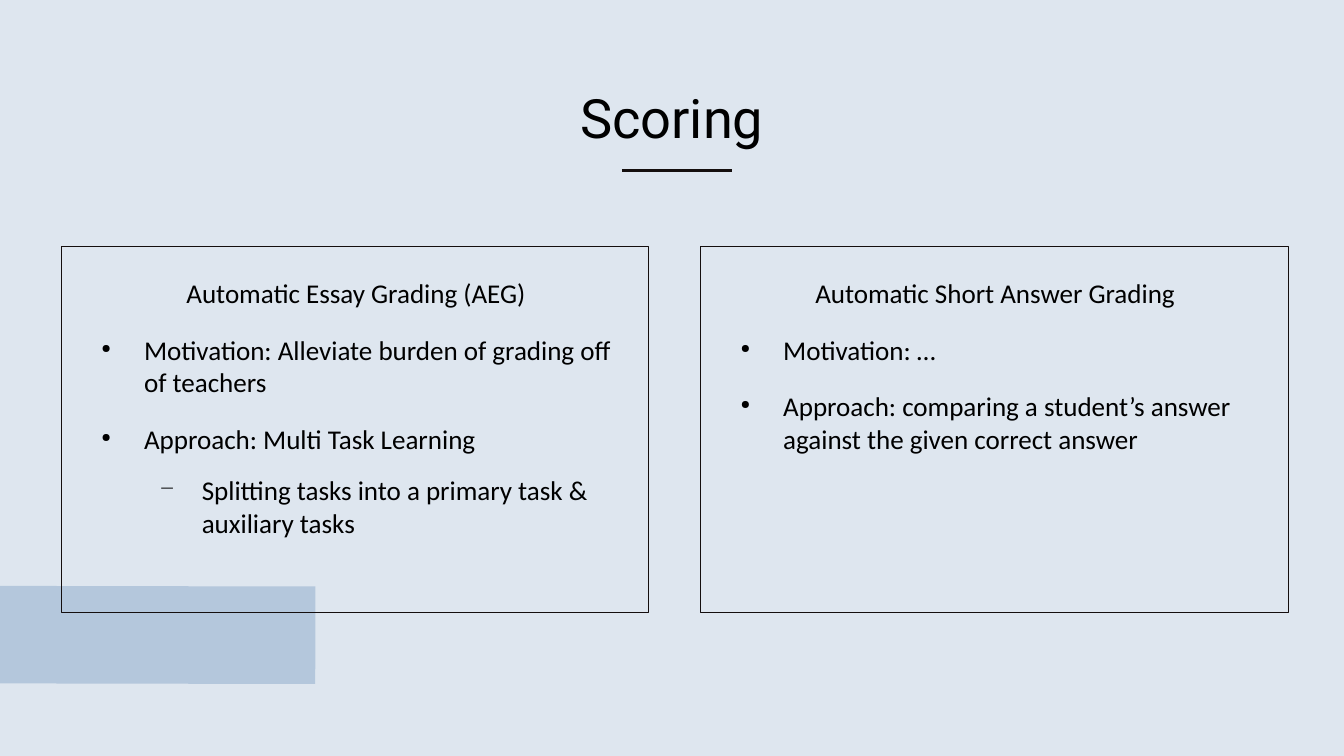
from lxml.etree import SubElement
from pptx import Presentation
from pptx.dml.color import RGBColor
from pptx.enum.shapes import MSO_CONNECTOR, MSO_SHAPE
from pptx.enum.text import MSO_ANCHOR, PP_ALIGN
from pptx.oxml.ns import qn
from pptx.util import Pt

TITLE = "Scoring"
# Each panel: heading, then (level, text) points
PANELS = [
    ("Automatic Essay Grading (AEG)", [
        (0, "Motivation: Alleviate burden of grading off of teachers"),
        (0, "Approach: Multi Task Learning"),
        (1, "Splitting tasks into a primary task & auxiliary tasks"),
    ]),
    ("Automatic Short Answer Grading", [
        (0, "Motivation: …"),
        (0, "Approach: comparing a student’s answer against the given correct answer"),
    ]),
]

THEME = {
    "background": RGBColor.from_string("DEE6EF"),
    "band": RGBColor.from_string("B4C7DC"),
    "outline": RGBColor.from_string("140E0E"),
    "ink": "000000",
    "title": {"name": "Roboto", "size": Pt(32)},
    "body": {"name": "Calibri", "size": Pt(16)},
}
# Per level: bullet sign, bullet size in percent, space before, left indent
LEVELS = [("●", 45, 14.1, 34), ("−", 75, 11.3, 68)]
HANGING = 25.2

SLIDE = (793.44, 446.4)
TITLE_BOX = (39.6, 31.7, 714.2, 74.9)
RULE = (367.2, 432, 100.8)  # left, right, y
BAND = (-29.5, 187.9, 57.6, 373.7)
PANEL_LEFT, PANEL_TOP, PANEL_WIDTH, PANEL_HEIGHT = 36, 145.4, 347, 216
PANEL_STEP = 377.3
TEXT_INSET = (15.1, 18)
TEXT_SIZE = (318.2, 216.7)


def points(values):
    return [Pt(value) for value in values]


def set_attributes(target, values):
    for name, value in values.items():
        setattr(target, name, value)


def add_rectangle(page, place):
    box = page.shapes.add_shape(MSO_SHAPE.RECTANGLE, *points(place))
    box.shadow.inherit = False
    return box


def add_text_frame(page, place, anchor):
    frame = page.shapes.add_textbox(*points(place)).text_frame
    set_attributes(frame, {
        "word_wrap": True, "vertical_anchor": anchor,
        "margin_left": 0, "margin_top": 0, "margin_right": 0, "margin_bottom": 0,
    })
    return frame


def write(para, text, font, **layout):
    set_attributes(para, layout)
    span = para.add_run()
    span.text = text
    set_attributes(span.font, font)
    span.font.color.rgb = RGBColor.from_string(THEME["ink"])


def add_bullet(para, sign, percent, left):
    properties = para._p.get_or_add_pPr()
    properties.set("marL", str(Pt(left)))
    properties.set("indent", str(Pt(-HANGING)))
    color = SubElement(properties, qn("a:buClr"))
    SubElement(color, qn("a:srgbClr"), val=THEME["ink"])
    SubElement(properties, qn("a:buSzPct"), val=str(percent * 1000))
    SubElement(properties, qn("a:buChar"), char=sign)


def add_title(page):
    frame = add_text_frame(page, TITLE_BOX, MSO_ANCHOR.MIDDLE)
    write(frame.paragraphs[0], TITLE, THEME["title"], alignment=PP_ALIGN.CENTER)
    left, right, y = RULE
    rule = page.shapes.add_connector(MSO_CONNECTOR.STRAIGHT, *points((left, y, right, y)))
    rule.line.color.rgb = THEME["outline"]
    rule.line.width = Pt(0)
    SubElement(rule._element.spPr, qn("a:effectLst"))


def add_band(page):
    band = add_rectangle(page, BAND)
    band.rotation = 90.1
    band.fill.solid()
    band.fill.fore_color.rgb = THEME["band"]
    band.line.fill.background()


def add_panel(page, left, heading, items):
    panel = add_rectangle(page, (left, PANEL_TOP, PANEL_WIDTH, PANEL_HEIGHT))
    panel.fill.background()
    panel.line.color.rgb = THEME["outline"]
    panel.line.width = Pt(0.31)

    inset_x, inset_y = TEXT_INSET
    place = (left + inset_x, PANEL_TOP + inset_y, *TEXT_SIZE)
    frame = add_text_frame(page, place, MSO_ANCHOR.TOP)
    write(frame.paragraphs[0], heading, THEME["body"], alignment=PP_ALIGN.CENTER)
    for level, text in items:
        sign, percent, space, indent = LEVELS[level]
        para = frame.add_paragraph()
        add_bullet(para, sign, percent, indent)
        write(para, text, THEME["body"], level=level, space_before=Pt(space))


def main():
    deck = Presentation()
    deck.slide_width, deck.slide_height = points(SLIDE)
    page = deck.slides.add_slide(deck.slide_layouts[6])
    page.background.fill.solid()
    page.background.fill.fore_color.rgb = THEME["background"]
    add_title(page)
    add_band(page)
    for index, (heading, items) in enumerate(PANELS):
        add_panel(page, PANEL_LEFT + index * PANEL_STEP, heading, items)
    deck.save("out.pptx")


if __name__ == "__main__":
    main()
